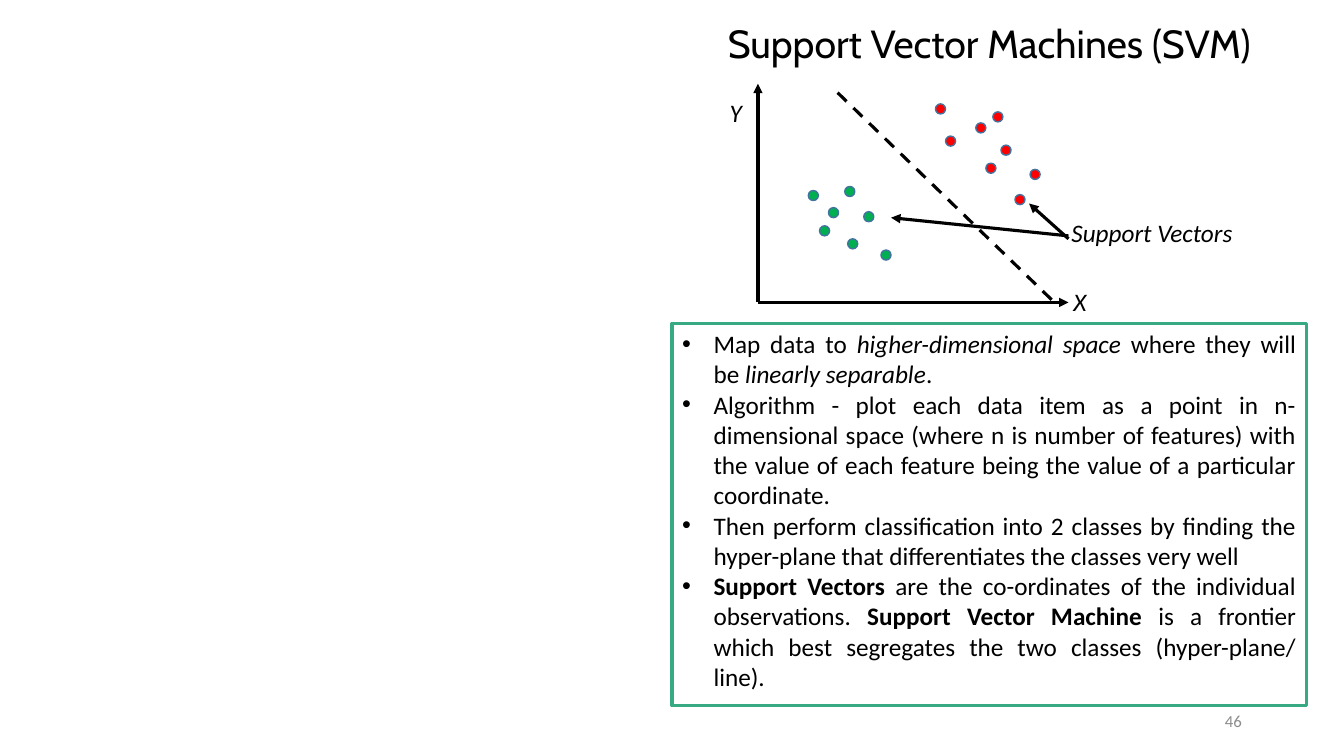
import pptx
import pptx.util
import pptx.dml.color
import pptx.enum.dml
import pptx.enum.shapes
import pptx.enum.text
import pptx.oxml
import pptx.oxml.ns

Pt = pptx.util.Pt
Align = pptx.enum.text.PP_ALIGN
Anchor = pptx.enum.text.MSO_ANCHOR
Auto = pptx.enum.text.MSO_AUTO_SIZE
Kind = pptx.enum.shapes.MSO_SHAPE
INK = {"text": "000000", "frame": "37AA84", "green": "00B050",
       "red": "FF0000", "edge": "43739E", "page": "8C8C8C"}
GREEN = [(577.4, 136.1), (603.4, 133.2), (585.4, 161.3), (591.8, 148.3),
         (605.5, 170.6), (617, 151.2), (629.3, 178.6)]
RED = [(668.2, 74.2), (675.4, 97.2), (697, 87.8), (709.2, 79.9),
       (715, 103.7), (704.2, 116.6), (735.8, 121), (725, 139)]
NOTES = [
    [("Map data to ", ""), ("higher-dimensional space", "i"),
     (" where they will be ", ""), ("linearly separable", "i"), (".", "")],
    [("Algorithm - plot each data item as a point in n-dimensional space "
      "(where n is number of features) with the value of each feature being "
      "the value of a particular coordinate.", "")],
    [("Then perform classification into 2 classes by finding the hyper-plane "
      "that differentiates the classes very well", "")],
    [("Support Vectors", "b"),
     (" are the co-ordinates of the individual observations. ", ""),
     ("Support Vector Machine", "b"),
     (" is a frontier which best segregates the two classes "
      "(hyper-plane/ line).", "")],
]


class Deck:
    """Hold the style and the current slide, and draw its elements."""

    def __init__(self, show):
        self.slide = show.slides.add_slide(show.slide_layouts[1])
        self.plot = self.slide.shapes.add_group_shape().shapes

    def color(self, name):
        return pptx.dml.color.RGBColor.from_string(INK[name])

    def place(self, shape, *box):
        shape.left, shape.top, shape.width, shape.height = map(Pt, box)

    def font(self, para, size, face="Calibri", ink="text"):
        para.font.size = Pt(size)
        para.font.name = face
        para.font.color.rgb = self.color(ink)

    def stroke(self, line, ink, width):
        line.color.rgb = self.color(ink)
        line.width = Pt(width)

    def title(self, text, *box):
        shape = self.slide.shapes.title
        self.place(shape, *box)
        frame = shape.text_frame
        frame.text = text
        frame.auto_size = Auto.NONE
        para = frame.paragraphs[0]
        para.alignment = Align.CENTER
        para.line_spacing = 0.9
        self.font(para, 28, "Cabin")

    def body(self, items, *box):
        shape = self.slide.placeholders[1]
        self.place(shape, *box)
        self.stroke(shape.line, "frame", 2.25)
        frame = shape.text_frame
        frame.auto_size = Auto.NONE
        frame.vertical_anchor = Anchor.TOP
        for num, item in enumerate(items):
            para = frame.add_paragraph() if num else frame.paragraphs[0]
            para.alignment = Align.JUSTIFY
            para.space_before = Pt(0)
            self.font(para, 18)
            props = para._p.get_or_add_pPr()
            props.set("marL", str(Pt(22.5)))
            props.set("indent", str(-Pt(22.5)))
            for text, look in item:
                run = para.add_run()
                run.text = text
                if look == "b":
                    run.font.bold = True
                if look == "i":
                    run.font.italic = True

    def label(self, text, left, top, width):
        box = self.plot.add_textbox(*map(Pt, (left, top, width, 28.8)))
        frame = box.text_frame
        frame.word_wrap = True
        frame.auto_size = Auto.SHAPE_TO_FIT_TEXT
        frame.text = text
        para = frame.paragraphs[0]
        self.font(para, 18)
        para.font.italic = True

    def page(self, text, *box):
        frame = self.slide.shapes.add_textbox(*map(Pt, box)).text_frame
        frame.word_wrap = True
        frame.vertical_anchor = Anchor.MIDDLE
        frame.text = text
        para = frame.paragraphs[0]
        para.alignment = Align.RIGHT
        self.font(para, 12, ink="page")

    def line(self, *ends, dash=False):
        link = self.plot.add_connector(
            pptx.enum.shapes.MSO_CONNECTOR.STRAIGHT, *map(Pt, ends))
        self.stroke(link.line, "text", 2.25)
        props = link._element.spPr
        if dash:
            link.line.dash_style = pptx.enum.dml.MSO_LINE.DASH
        else:
            tip = pptx.oxml.parse_xml(
                f'<a:tailEnd {pptx.oxml.ns.nsdecls("a")} type="triangle"/>')
            link.line._get_or_add_ln().append(tip)
        props.append(pptx.oxml.parse_xml(
            f'<a:effectLst {pptx.oxml.ns.nsdecls("a")}/>'))

    def dot(self, left, top, ink):
        shape = self.plot.add_shape(
            Kind.OVAL, *map(Pt, (left, top, 7.2, 7.2)))
        shape.shadow.inherit = False
        shape.fill.solid()
        shape.fill.fore_color.rgb = self.color(ink)
        self.stroke(shape.line, "edge", 1)


def main():
    show = pptx.Presentation()
    show.slide_width, show.slide_height = Pt(960), Pt(540)
    deck = Deck(show)
    deck.title("Support Vector Machines (SVM)", 480, 10.8, 453, 44)
    deck.body(NOTES, 480, 231, 453, 273)
    deck.line(541.4, 216, 541.4, 59.8)
    deck.line(541.4, 216, 763.2, 216)
    deck.label("X", 759.6, 200.9, 38.2)
    deck.label("Y", 514.1, 66.2, 38.2)
    deck.line(598.3, 66.2, 751.7, 214.6, dash=True)
    for ink, dots in (("green", GREEN), ("red", RED)):
        for left, top in dots:
            deck.dot(left, top, ink)
    deck.line(763.2, 168.5, 636.5, 155.5)
    deck.line(763.2, 170.6, 735.1, 145.4)
    deck.label("Support Vectors", 758.2, 151.9, 140.4)
    deck.page("46", 678.2, 500.4, 216, 28.8)
    show.save("out.pptx")


if __name__ == "__main__":
    main()
